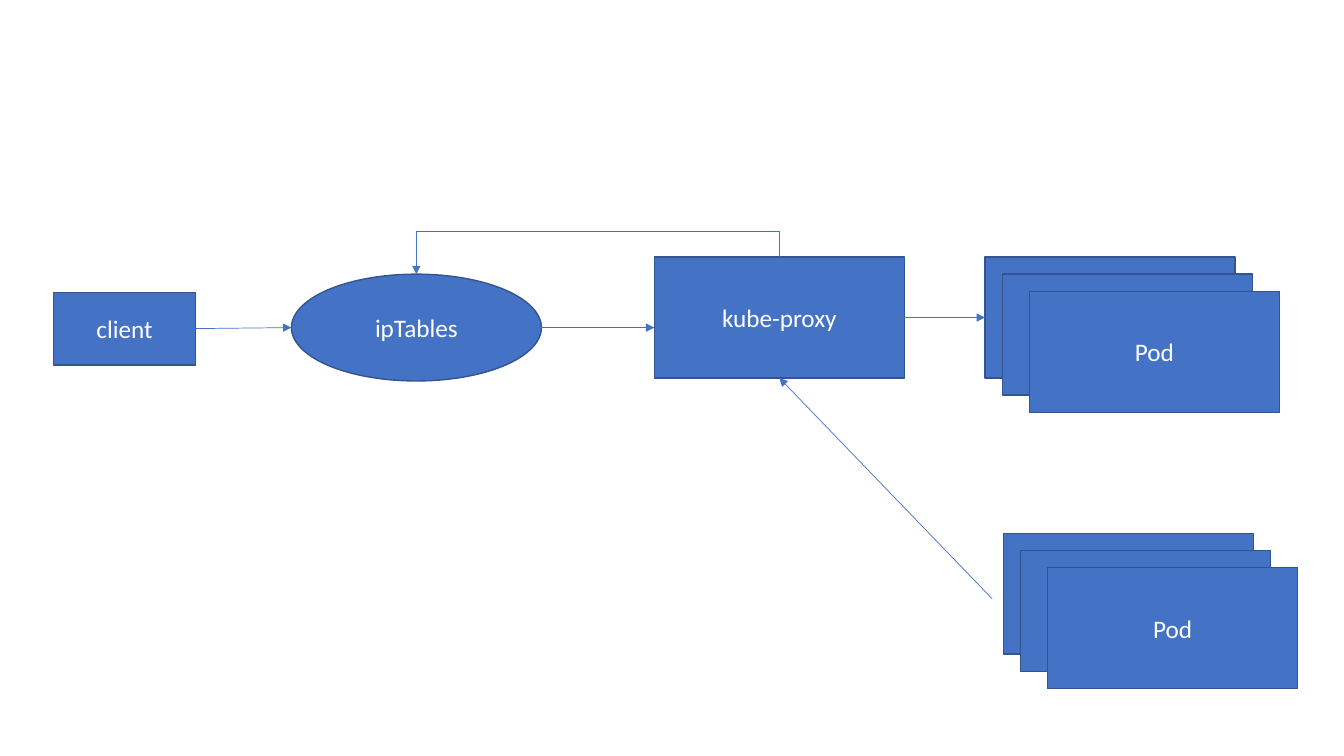
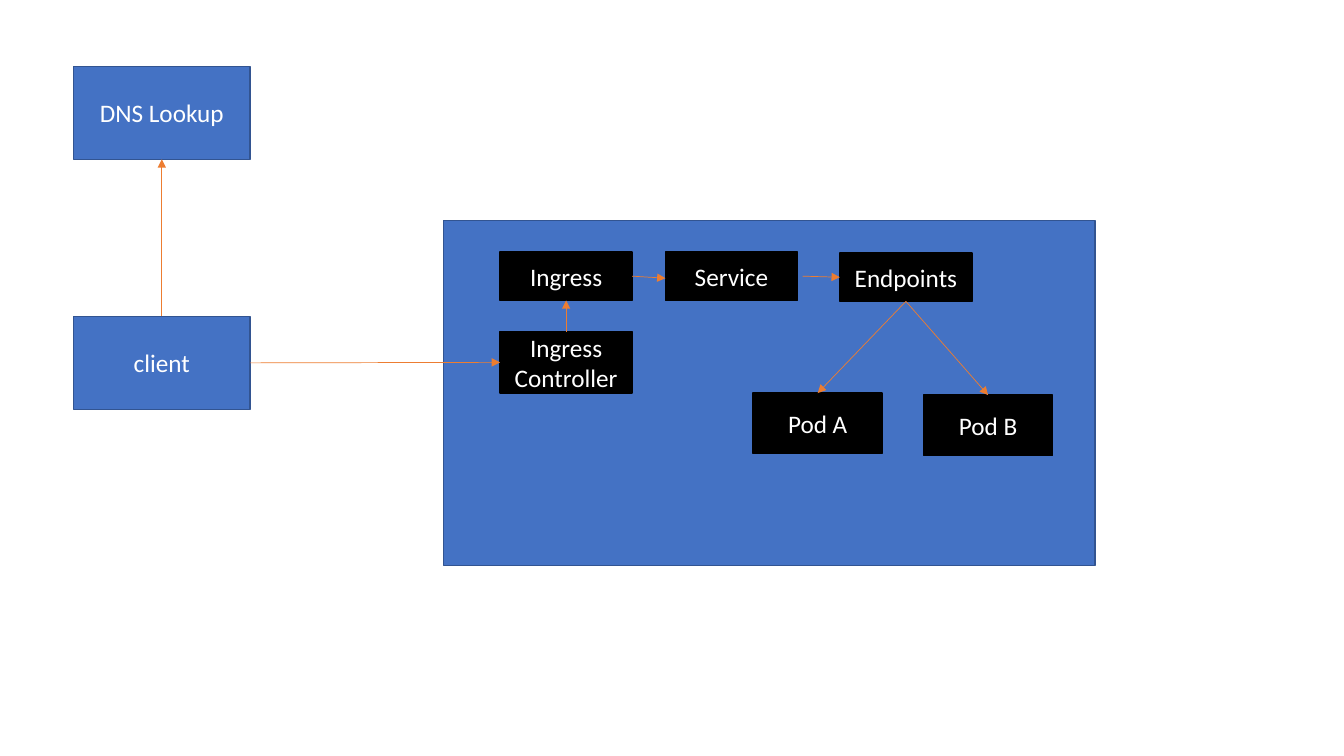
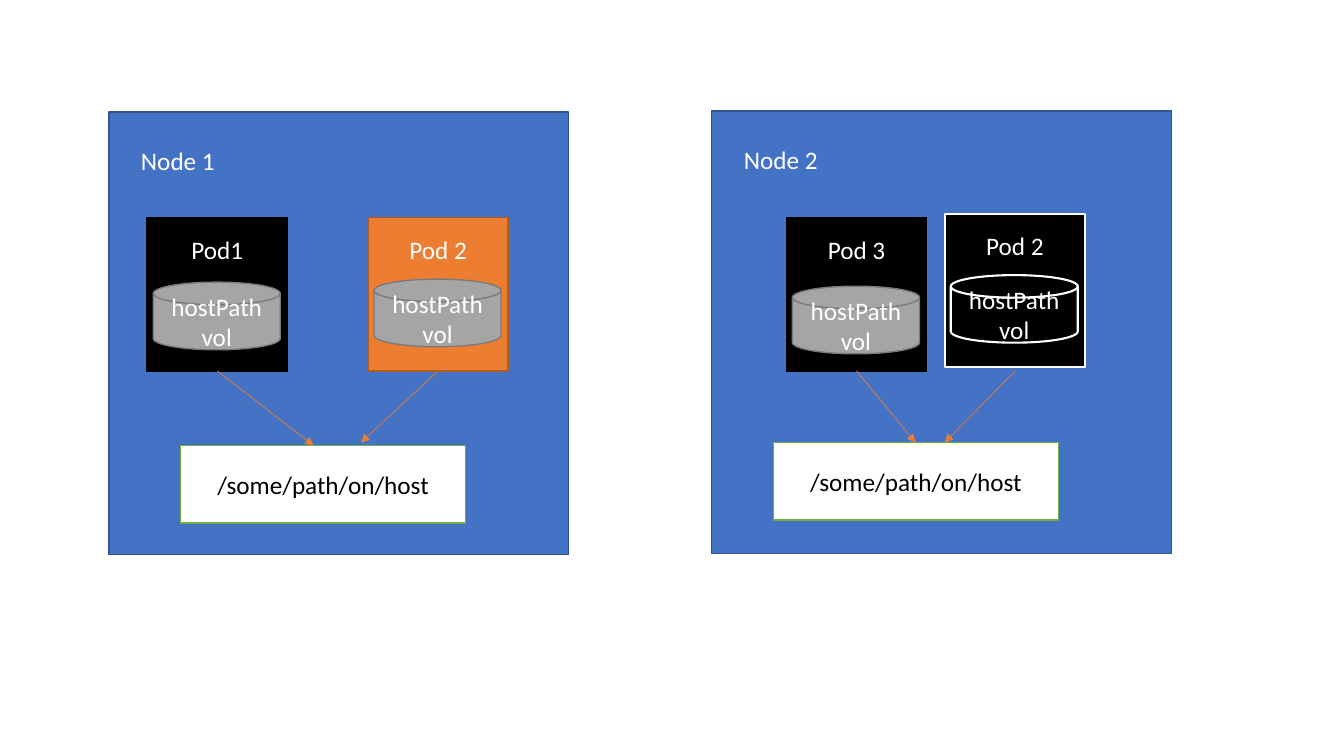
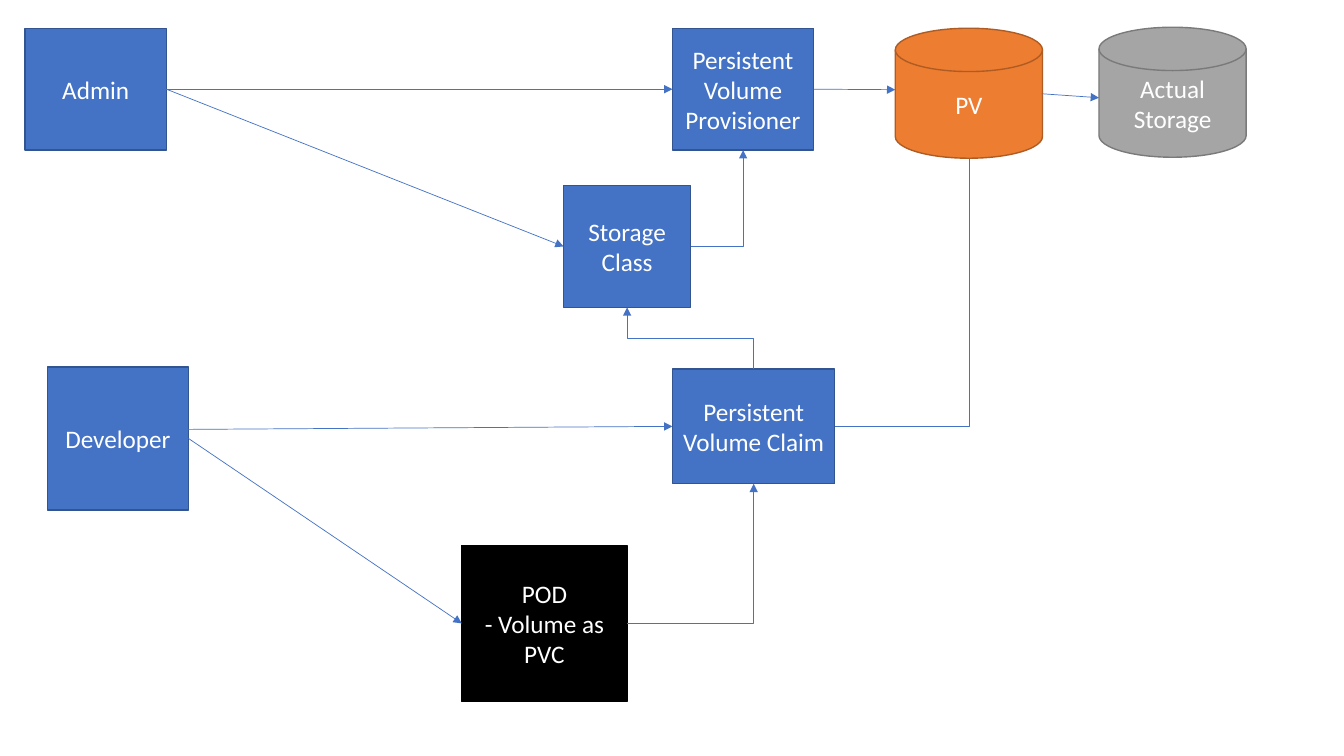
from lxml import etree
from pptx import Presentation
from pptx.dml.color import RGBColor
from pptx.enum import shapes, text
from pptx.oxml.ns import qn
from pptx.util import Inches, Pt

BLUE = RGBColor(0x44, 0x72, 0xC4)
DARK_BLUE = RGBColor(0x32, 0x54, 0x91)
ORANGE = RGBColor(0xED, 0x7D, 0x31)
DARK_ORANGE = RGBColor(0xAF, 0x5C, 0x24)
GRAY = RGBColor(0xA5, 0xA5, 0xA5)
DARK_GRAY = RGBColor(0x7A, 0x7A, 0x7A)
GREEN = RGBColor(0x70, 0xAD, 0x47)
BLACK = RGBColor(0, 0, 0)
WHITE = RGBColor(255, 255, 255)

EDGES = {BLUE: DARK_BLUE, ORANGE: DARK_ORANGE, GRAY: DARK_GRAY,
         BLACK: BLACK, WHITE: GREEN}
FONT = "Calibri"
RECT = shapes.MSO_SHAPE.RECTANGLE
ELLIPSE = shapes.MSO_SHAPE.OVAL
DISK = shapes.MSO_SHAPE.FLOWCHART_MAGNETIC_DISK
TOP, LEFT, BOTTOM, RIGHT = range(4)


def add_box(s, label, x, y, w, h, fill=BLUE, kind=RECT, edge=None):
    """Add a filled shape with centred text; white edges are drawn heavier."""
    sp = s.shapes.add_shape(kind, Inches(x), Inches(y), Inches(w), Inches(h))
    sp.shadow.inherit = False
    sp.fill.solid()
    sp.fill.fore_color.rgb = fill
    sp.line.color.rgb = edge or EDGES[fill]
    sp.line.width = Pt(1.5 if edge == WHITE else 1)
    tf = sp.text_frame
    tf.word_wrap = True
    tf.vertical_anchor = text.MSO_ANCHOR.MIDDLE
    tf.text = label
    for p in tf.paragraphs:
        p.alignment = text.PP_ALIGN.CENTER
        p.font.size = Pt(18)
        for r in p.runs:
            r.font.size = Pt(18)
            r.font.name = FONT
            r.font.color.rgb = BLACK if fill == WHITE else WHITE
    return sp


def add_arrow(s, begin, end, color=BLUE, bends=0, turn=0.5, head=True):
    """Join two ends, each (x, y) or (shape, side).

    One bend runs across, then up or down. Two bends leave upwards, and
    turn is the share of the height at which the line runs across.
    """
    c = s.shapes.add_connector(shapes.MSO_CONNECTOR.STRAIGHT, 0, 0, 0, 0)
    if isinstance(begin[0], (int, float)):
        c.begin_x, c.begin_y = Inches(begin[0]), Inches(begin[1])
    else:
        c.begin_connect(*begin)
    if isinstance(end[0], (int, float)):
        c.end_x, c.end_y = Inches(end[0]), Inches(end[1])
    else:
        c.end_connect(*end)
    c.line.color.rgb = color
    c.line.width = Pt(0.5)
    spPr = c._element.spPr
    if head:
        etree.SubElement(spPr.find(qn("a:ln")), qn("a:tailEnd"), type="triangle")
    etree.SubElement(spPr, qn("a:effectLst"))
    geom = spPr.find(qn("a:prstGeom"))
    if bends:
        geom.set("prst", f"bentConnector{bends + 1}")
    if bends == 2:
        dx, dy = c.end_x - c.begin_x, c.end_y - c.begin_y
        mid_x, mid_y = (c.begin_x + c.end_x) // 2, (c.begin_y + c.end_y) // 2
        c.width, c.height = abs(dy), abs(dx)
        c.left, c.top = mid_x - abs(dy) // 2, mid_y - abs(dx) // 2
        xfrm = spPr.find(qn("a:xfrm"))
        xfrm.set("rot", "16200000")
        xfrm.set("flipH", str(int(dy > 0)))
        xfrm.set("flipV", str(int(dx < 0)))
        etree.SubElement(geom.find(qn("a:avLst")), qn("a:gd"), name="adj1",
                         fmla=f"val {round(turn * 100000)}")
    return c


prs = Presentation()
prs.slide_width, prs.slide_height = Inches(13.33), Inches(7.5)
blank = prs.slide_layouts[6]

# Slide 1: service traffic through kube-proxy
s = prs.slides.add_slide(blank)
kube_proxy = add_box(s, "kube-proxy", 6.49, 2.55, 2.48, 1.2)
ip_tables = add_box(s, "ipTables", 2.89, 2.72, 2.48, 1.06, kind=ELLIPSE)
client = add_box(s, "client", 0.53, 2.9, 1.41, 0.72)
stacks = []
for x, y in [(9.77, 2.55), (9.95, 5.29)]:
    cards = [add_box(s, label, x + dx, y + dy, 2.48, 1.2)
             for label, dx, dy in [("", 0, 0), ("", 0.17, 0.17), ("Pod", 0.44, 0.34)]]
    stacks.append(cards[0])
add_arrow(s, (client, RIGHT), (2.89, 3.25))
add_arrow(s, (5.36, 3.25), (6.49, 3.25))
add_arrow(s, (kube_proxy, RIGHT), (stacks[0], LEFT))
add_arrow(s, (9.84, 5.94), (kube_proxy, BOTTOM))
add_arrow(s, (kube_proxy, TOP), (ip_tables, TOP), bends=2, turn=-1.5)

# Slide 2: ingress
s = prs.slides.add_slide(blank)
client = add_box(s, "client", 0.73, 3.14, 1.75, 0.92)
dns = add_box(s, "DNS Lookup", 0.73, 0.66, 1.75, 0.92)
add_box(s, "", 4.4, 2.19, 6.46, 3.42)
controller = add_box(s, "Ingress\nController", 4.96, 3.29, 1.31, 0.61, BLACK)
ingress = add_box(s, "Ingress", 4.96, 2.5, 1.31, 0.48, BLACK)
service = add_box(s, "Service", 6.6, 2.5, 1.31, 0.48, BLACK)
endpoints = add_box(s, "Endpoints", 8.33, 2.51, 1.31, 0.48, BLACK)
pod_a = add_box(s, "Pod A", 7.47, 3.9, 1.28, 0.6, BLACK)
pod_b = add_box(s, "Pod B", 9.16, 3.92, 1.28, 0.6, BLACK)
for begin, end in [
    ((client, TOP), (dns, BOTTOM)),
    ((client, RIGHT), (controller, LEFT)),
    ((controller, TOP), (ingress, BOTTOM)),
    ((ingress, RIGHT), (6.6, 2.76)),
    ((7.96, 2.74), (endpoints, LEFT)),
    ((endpoints, BOTTOM), (pod_a, TOP)),
    ((endpoints, BOTTOM), (pod_b, TOP)),
]:
    add_arrow(s, begin, end, ORANGE)

# Slide 3: hostPath volumes on two nodes
s = prs.slides.add_slide(blank)
for name, x, y, path_x, path_y in [("Node 1", 1.08, 1.11, 1.79, 4.42),
                                   ("Node 2", 7.06, 1.1, 7.67, 4.39)]:
    add_box(s, "", x, y, 4.56, 4.39)
    tb = s.shapes.add_textbox(Inches(x + 0.22), Inches(y + 0.28), Inches(1.91), Inches(0.4))
    tf = tb.text_frame
    tf.word_wrap = True
    tf.text = name
    r = tf.paragraphs[0].runs[0]
    r.font.size, r.font.name = Pt(18), FONT
    r.font.color.rgb = WHITE
    add_box(s, "/some/path/on/host", path_x, path_y, 2.83, 0.77, WHITE)

for name, x, y, fill, disk_fill, edge, disk_dy, begin, end in [
    ("Pod1", 1.46, 2.16, BLACK, GRAY, None, 0.64, None, (3.11, 4.42)),
    ("Pod 2", 3.65, 2.16, ORANGE, GRAY, None, 0.61, None, (3.58, 4.39)),
    ("Pod 3", 7.8, 2.16, BLACK, GRAY, None, 0.68, None, (9.08, 4.39)),
    ("Pod 2", 9.37, 2.12, BLACK, BLACK, WHITE, 0.61, (10.07, 3.68), (9.37, 4.39)),
]:
    pod = add_box(s, name, x, y, 1.39, 1.52, fill, edge=edge)
    pod.text_frame.vertical_anchor = text.MSO_ANCHOR.TOP
    pod.text_frame.margin_top = Inches(0.16)
    add_box(s, "hostPath vol", x + 0.06, y + disk_dy, 1.26, 0.67, disk_fill, DISK, edge)
    add_arrow(s, begin or (pod, BOTTOM), end, ORANGE)

# Slide 4: persistent volumes
s = prs.slides.add_slide(blank)
admin = add_box(s, "Admin", 0.25, 0.28, 1.4, 1.21)
provisioner = add_box(s, "Persistent Volume\nProvisioner", 6.67, 0.28, 1.4, 1.21)
storage_class = add_box(s, "Storage Class", 5.59, 1.84, 1.26, 1.21)
developer = add_box(s, "Developer", 0.47, 3.64, 1.4, 1.42)
claim = add_box(s, "Persistent Volume Claim", 6.67, 3.66, 1.61, 1.14)
pv = add_box(s, "PV", 8.88, 0.28, 1.46, 1.29, ORANGE, DISK)
pod = add_box(s, "POD\n- Volume as PVC", 4.58, 5.41, 1.64, 1.55, BLACK)
add_box(s, "Actual Storage", 10.9, 0.27, 1.46, 1.29, GRAY, DISK)

add_arrow(s, (admin, RIGHT), (provisioner, LEFT))
add_arrow(s, (admin, RIGHT), (storage_class, LEFT))
add_arrow(s, (provisioner, RIGHT), (8.88, 0.89))
add_arrow(s, (10.33, 0.93), (10.9, 0.97))
add_arrow(s, (1.86, 4.26), (claim, LEFT))
add_arrow(s, (developer, RIGHT), (pod, LEFT))
add_arrow(s, (storage_class, RIGHT), (provisioner, BOTTOM), bends=1)
add_arrow(s, (pod, RIGHT), (claim, BOTTOM), bends=1)
add_arrow(s, (claim, TOP), (storage_class, BOTTOM), bends=2)
# Site 3 of a disk is its bottom, so the end is placed there by hand
c = add_arrow(s, (claim, RIGHT), (pv, 3), bends=1, head=False)
c.end_x, c.end_y = pv.left + pv.width // 2, pv.top + pv.height

prs.save("out.pptx")
